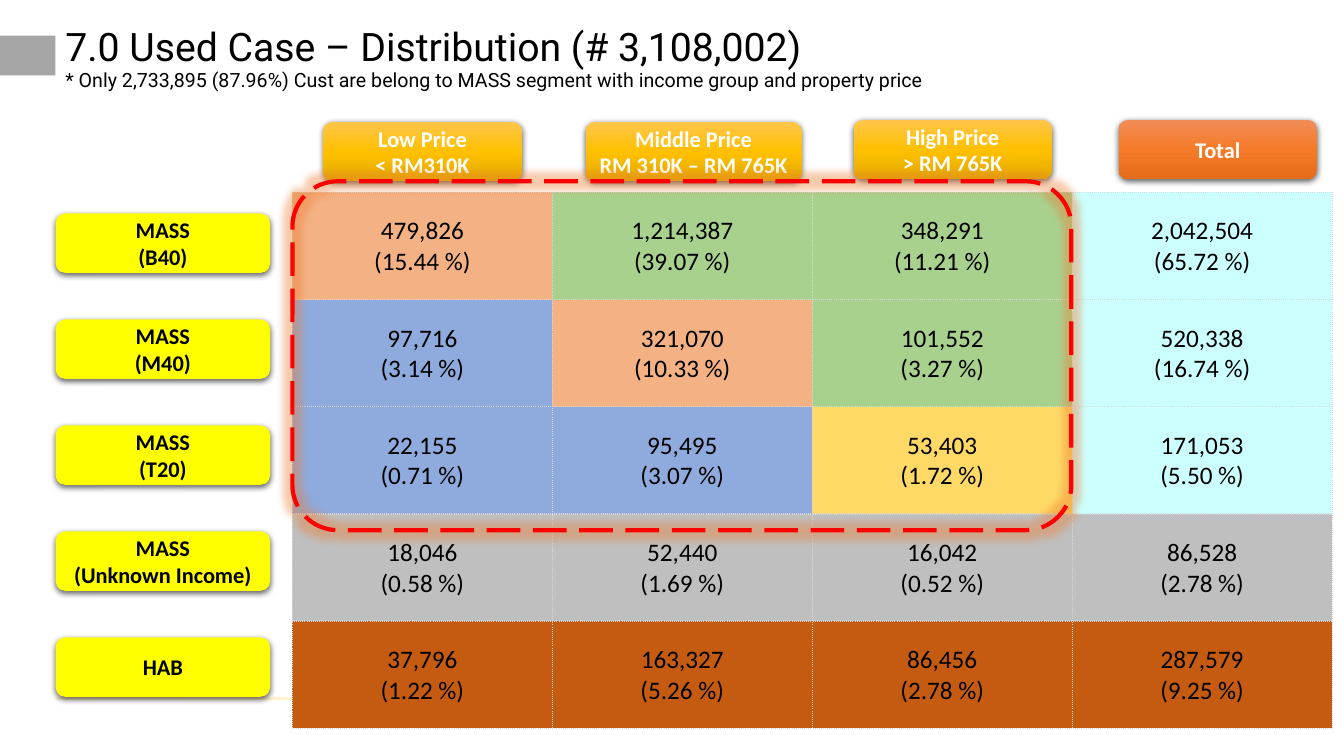
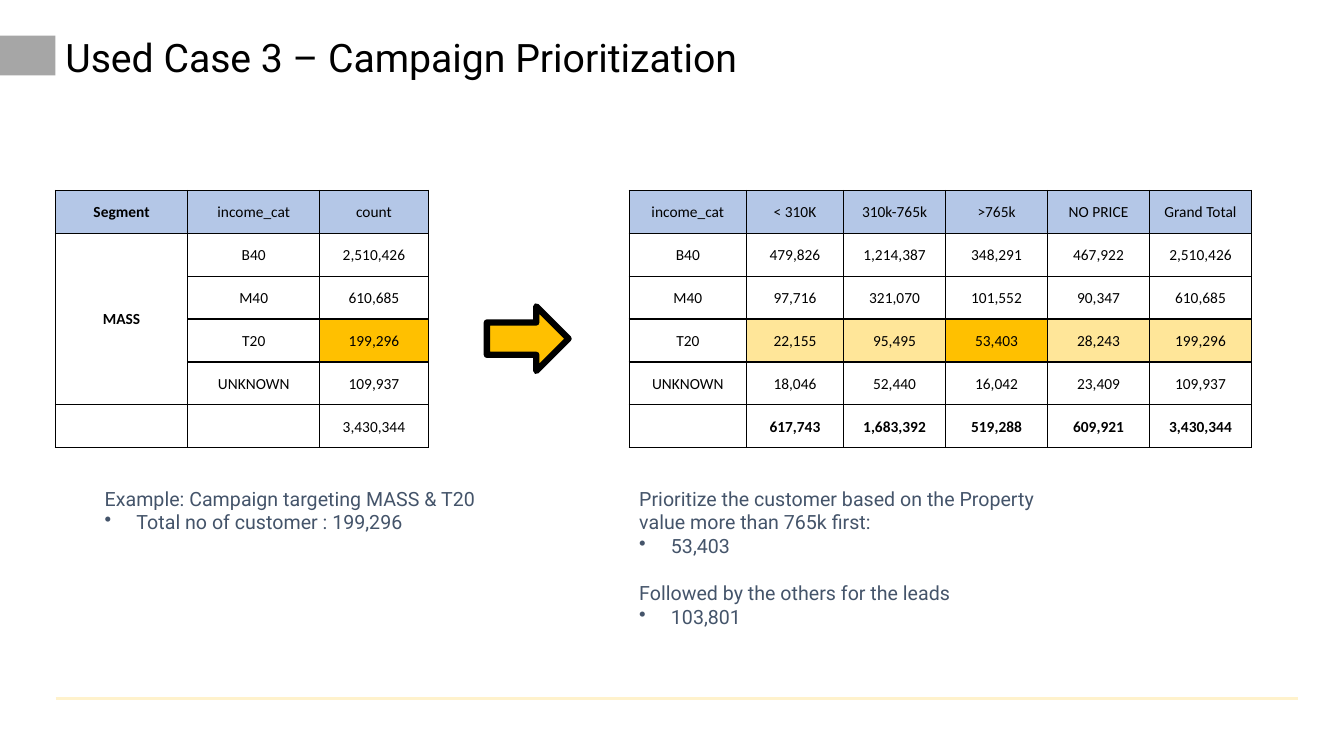
from copy import deepcopy

from lxml import etree
from pptx import Presentation
from pptx.dml.color import RGBColor
from pptx.enum.dml import MSO_LINE
from pptx.enum.shapes import MSO_CONNECTOR, MSO_SHAPE
from pptx.enum.text import MSO_ANCHOR, PP_ALIGN
from pptx.oxml import parse_xml
from pptx.oxml.ns import nsdecls, qn
from pptx.util import Cm, Pt

LEFT, CENTER = PP_ALIGN.LEFT, PP_ALIGN.CENTER
TOP, MIDDLE = MSO_ANCHOR.TOP, MSO_ANCHOR.MIDDLE
LONG_DASH = MSO_LINE.LONG_DASH
RECTANGLE = MSO_SHAPE.RECTANGLE
ROUNDED = MSO_SHAPE.ROUNDED_RECTANGLE
RIGHT_ARROW = MSO_SHAPE.RIGHT_ARROW
STRAIGHT = MSO_CONNECTOR.STRAIGHT

HEADING, BODY = "Roboto", "Calibri"
COLORS = {
    "black": "000000", "white": "FFFFFF", "slate": "44546A", "band": "A6A6A6",
    "footer": "FFF2CC", "red": "FF0000", "glow": "ED7D31", "yellow": "FFFF00",
    "dots": "D9D9D9", "orange": "F4B183", "green": "A9D18E", "blue": "8FAADC",
    "cyan": "CCFFFF", "gold": "FFD966", "grey": "BFBFBF", "brown": "C55A11",
    "header": "B4C7E7", "amber": "FFC000", "pale": "FFE699",
}
PRICE_GRADIENT = ("FFC64B", "FFC000", "E3AB00")
TOTAL_GRADIENT = ("F18C57", "F67B28", "E56C19")
CUSTOMERS = 3108002


def rgb(name):
    return RGBColor.from_string(COLORS[name])


# Text
def add_para(frame, text, size, font=BODY, color="black", bold=False,
             align=LEFT, spacing=None, before=None, bullet=False):
    para = frame.paragraphs[0]
    if para.runs:
        para = frame.add_paragraph()
    para.text = text
    para.alignment = align
    if spacing:
        para.line_spacing = spacing
    if before:
        para.space_before = Pt(before)
    if bullet:
        props = para._p.get_or_add_pPr()
        props.set("marL", str(Cm(0.8)))
        props.set("indent", str(-Cm(0.8)))
        etree.SubElement(props, qn("a:buChar"), char="•")
    para.font.size = Pt(size)
    para.font.name = font
    para.font.bold = bold
    para.font.color.rgb = rgb(color)


def add_box(slide, left, top, width, height, anchor=TOP):
    box = slide.shapes.add_textbox(Cm(left), Cm(top), Cm(width), Cm(height))
    frame = box.text_frame
    frame.word_wrap = True
    frame.vertical_anchor = anchor
    return frame


def add_note(slide, left, height, lines):
    frame = add_box(slide, left, 12.14, 11.25, height)
    for text, options in lines:
        add_para(frame, text, 14, HEADING, "slate", **options)


# Shapes
def add_shape(slide, kind, left, top, width, height, fill=None):
    shape = slide.shapes.add_shape(kind, Cm(left), Cm(top), Cm(width), Cm(height))
    shape.shadow.inherit = False
    shape.line.fill.background()
    if fill:
        shape.fill.solid()
        shape.fill.fore_color.rgb = rgb(fill)
    else:
        shape.fill.background()
    return shape


def add_effect(shape, kind, color, alpha, **attributes):
    effects = shape._element.spPr.find(qn("a:effectLst"))
    effect = etree.SubElement(effects, qn(f"a:{kind}"), **attributes)
    tint = etree.SubElement(effect, qn("a:srgbClr"), val=COLORS[color])
    etree.SubElement(tint, qn("a:alpha"), val=str(alpha * 1000))


def set_gradient(shape, hexes):
    shape.fill.gradient()
    shape.fill.gradient_angle = 270
    stop_list = shape._element.spPr.find(".//" + qn("a:gsLst"))
    stop_list.insert(1, deepcopy(stop_list[0]))
    for index, (stop, value) in enumerate(zip(shape.fill.gradient_stops, hexes)):
        stop.position = index / 2
        stop.color.rgb = RGBColor.from_string(value)


def add_pill(slide, left, top, width, lines, color, gradient=None):
    pill = add_shape(slide, ROUNDED, left, top, width, 1.5, "yellow")
    if gradient:
        set_gradient(pill, gradient)
    add_effect(pill, "outerShdw", "black", 63, blurRad=str(Pt(4.5)),
               dist=str(Pt(1.5)), dir="5400000", algn="ctr", rotWithShape="0")
    frame = pill.text_frame
    frame.margin_left = frame.margin_right = Cm(0.1)
    for text in lines:
        add_para(frame, text, 16, color=color, bold=True, align=CENTER)


# Tables
def set_borders(cell, color, dash):
    props = cell._tc.get_or_add_tcPr()
    for side in ("lnL", "lnR", "lnT", "lnB"):
        props.append(parse_xml(
            f'<a:{side} {nsdecls("a")} w="{Pt(1)}"><a:solidFill>'
            f'<a:srgbClr val="{COLORS[color]}"/></a:solidFill>'
            f'<a:prstDash val="{dash}"/></a:{side}>'))


def add_grid(slide, left, top, widths, row_height, rows, fills, size,
             border="black", dash="solid", bold_cells=()):
    """Cells hold text with one paragraph a line; fills maps (row, column) to a colour."""
    grid = slide.shapes.add_table(
        len(rows), len(widths), Cm(left), Cm(top),
        Cm(sum(widths)), Cm(row_height * len(rows))).table
    grid.first_row = grid.horz_banding = False
    for column, width in zip(grid.columns, widths):
        column.width = Cm(width)
    for r, texts in enumerate(rows):
        grid.rows[r].height = Cm(row_height)
        for c, text in enumerate(texts):
            cell = grid.cell(r, c)
            cell.vertical_anchor = MIDDLE
            cell.margin_left = cell.margin_right = cell.margin_top = Cm(0.03)
            cell.margin_bottom = 0
            set_borders(cell, border, dash)
            if (r, c) in fills:
                cell.fill.solid()
                cell.fill.fore_color.rgb = rgb(fills[r, c])
            else:
                cell.fill.background()
            for line in text.splitlines():
                add_para(cell.text_frame, line, size, align=CENTER,
                         bold=(r, c) in bold_cells)
    return grid


# Parts shared by the slides
def start_slide(deck, title, subtitle=None):
    slide = deck.slides.add_slide(deck.slide_layouts[6])
    footer = slide.shapes.add_connector(STRAIGHT, Cm(1.4), Cm(17.6), Cm(32.72), Cm(17.6))
    footer.line.color.rgb = rgb("footer")
    footer.line.width = Pt(1.75)
    etree.SubElement(footer._element.spPr, qn("a:effectLst"))
    add_shape(slide, RECTANGLE, 0, 0.9, 1.4, 1, "band")
    frame = add_box(slide, 1.4, 0.69, 30.12, 1.62, MIDDLE)
    add_para(frame, title, 28, HEADING, spacing=0.9)
    if subtitle:
        add_para(frame, subtitle, 14, HEADING, spacing=0.9)
    return slide


def build_distribution(deck):
    slide = start_slide(
        deck, "7.0 Used Case – Distribution (# 3,108,002)",
        "* Only 2,733,895 (87.96%) Cust are belong to MASS segment "
        "with income group and property price")

    # Column and row labels
    for left, top, width, lines, gradient in (
        (8.15, 3.07, 5, ("Low Price", "< RM310K"), PRICE_GRADIENT),
        (14.76, 3.07, 5.44, ("Middle Price", "RM 310K – RM 765K"), PRICE_GRADIENT),
        (21.51, 3.02, 5, ("High Price", "> RM 765K"), PRICE_GRADIENT),
        (28.19, 3.02, 5, ("Total",), TOTAL_GRADIENT),
    ):
        add_pill(slide, left, top, width, lines, "white", gradient)
    segments = (("MASS", "(B40)"), ("MASS", "(M40)"), ("MASS", "(T20)"),
                ("MASS", "(Unknown Income)"), ("HAB",))
    for index, lines in enumerate(segments):
        add_pill(slide, 1.4, 5.38 + 2.67 * index, 5.41, lines, "black")

    # Counts with their share of all customers
    counts = ((479826, 1214387, 348291), (97716, 321070, 101552),
              (22155, 95495, 53403), (18046, 52440, 16042), (37796, 163327, 86456))
    rows = [[f"{count:,}\n({count / CUSTOMERS:.2%})".replace("%", " %")
             for count in (*row, sum(row))] for row in counts]
    row_colors = (("orange", "green", "green", "cyan"), ("blue", "orange", "green", "cyan"),
                  ("blue", "blue", "gold", "cyan"), ("grey",) * 4, ("brown",) * 4)
    fills = {(r, c): color for r, colors in enumerate(row_colors)
             for c, color in enumerate(colors)}
    add_grid(slide, 7.37, 4.85, [6.55] * 4, 2.7, rows, fills, 18, "dots", "sysDot")

    # Focus frame
    focus = add_shape(slide, ROUNDED, 7.37, 4.57, 19.63, 8.79)
    focus.adjustments[0] = 0.13
    focus.line.color.rgb = rgb("red")
    focus.line.width = Pt(3)
    focus.line.dash_style = LONG_DASH
    add_effect(focus, "glow", "glow", 40, rad=str(Pt(11)))


def build_campaign(deck):
    slide = start_slide(deck, "Used Case 3 – Campaign Prioritization")

    # Counts by income group
    add_note(slide, 2.39, 1.45, (
        ("Example: Campaign targeting MASS & T20", {}),
        ("Total no of customer : 199,296", {"bullet": True})))
    rows = (("Segment", "income_cat", "count"),
            ("MASS", "B40", "2,510,426"),
            ("", "M40", "610,685"),
            ("", "T20", "199,296"),
            ("", "UNKNOWN", "109,937"),
            ("", "", "3,430,344"))
    fills = {(0, c): "header" for c in range(3)} | {(3, 2): "amber"}
    grid = add_grid(slide, 1.4, 4.8, (3.33, 3.33, 2.73), 1.08, rows, fills, 11,
                    bold_cells={(0, 0), (1, 0)})
    grid.cell(1, 0).merge(grid.cell(4, 0))

    # Counts by income group and price
    rows = (("income_cat", "< 310K", "310k-765k", ">765k", "NO PRICE", "Grand Total"),
            ("B40", "479,826", "1,214,387", "348,291", "467,922", "2,510,426"),
            ("M40", "97,716", "321,070", "101,552", "90,347", "610,685"),
            ("T20", "22,155", "95,495", "53,403", "28,243", "199,296"),
            ("UNKNOWN", "18,046", "52,440", "16,042", "23,409", "109,937"),
            ("", "617,743", "1,683,392", "519,288", "609,921", "3,430,344"))
    fills = {(0, c): "header" for c in range(6)}
    fills |= {(3, c): "pale" for c in range(1, 6)} | {(3, 3): "amber"}
    add_grid(slide, 15.86, 4.8, (2.95, 2.45, 2.57, 2.57, 2.57, 2.57), 1.08, rows,
             fills, 11, bold_cells={(5, c) for c in range(6)})

    arrow = add_shape(slide, RIGHT_ARROW, 12.27, 7.72, 2.06, 1.63, "amber")
    arrow.line.color.rgb = rgb("black")
    arrow.line.width = Pt(4.5)
    add_note(slide, 15.86, 3.84, (
        ("Prioritize the customer based on the Property value more than 765k first:", {}),
        ("53,403", {"bullet": True}),
        ("Followed by the others for the leads", {"before": 17}),
        ("103,801", {"bullet": True})))


def main():
    deck = Presentation()
    deck.slide_width, deck.slide_height = Cm(33.87), Cm(19.05)
    build_distribution(deck)
    build_campaign(deck)
    deck.save("out.pptx")


if __name__ == "__main__":
    main()
